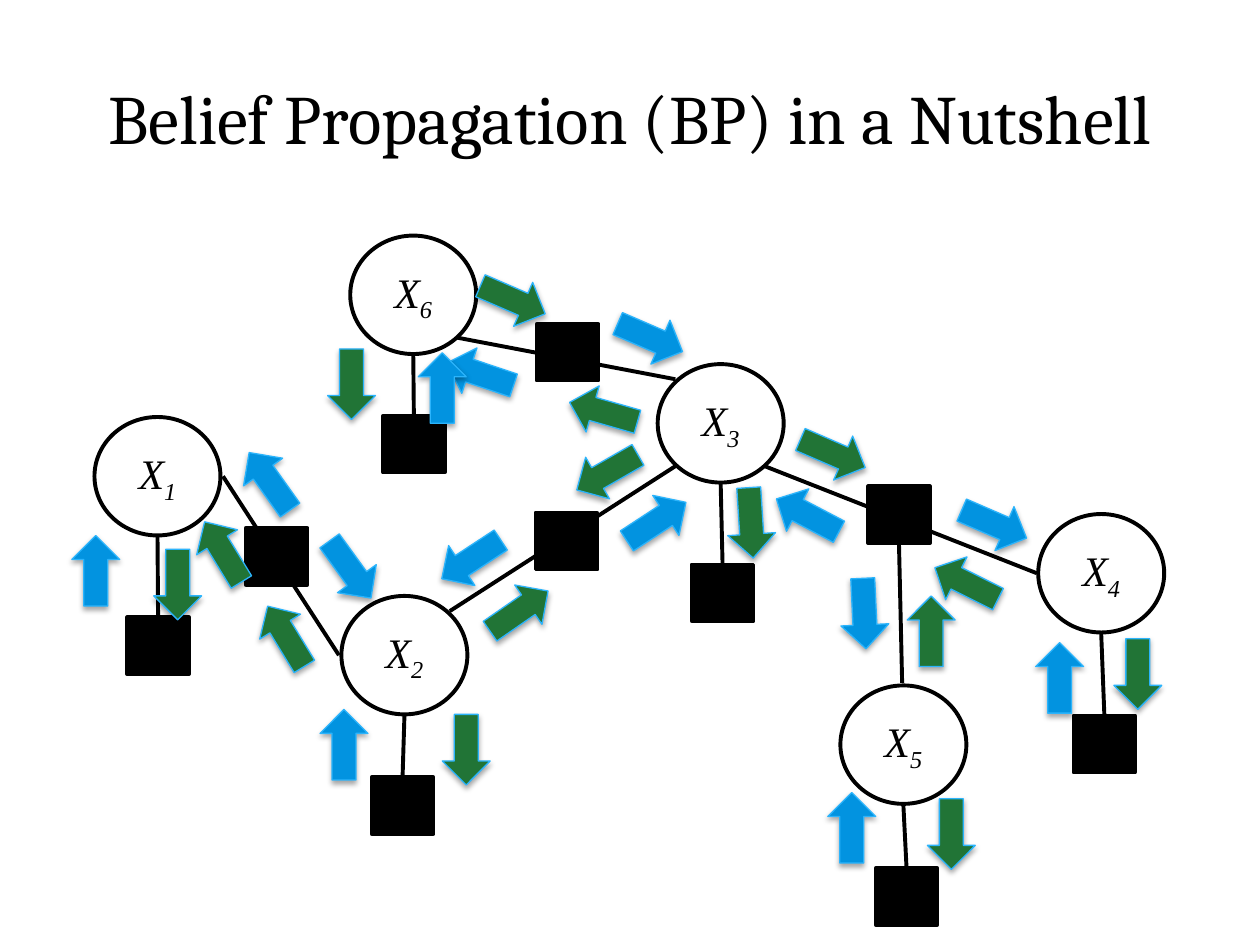
from lxml.etree import SubElement
from pptx import Presentation
from pptx.dml.color import RGBColor
from pptx.enum.shapes import MSO_CONNECTOR, MSO_SHAPE
from pptx.enum.text import MSO_ANCHOR, PP_ALIGN
from pptx.oxml.ns import qn
from pptx.util import Pt

PX = 9144  # 100 px to the inch
BLACK = RGBColor(0, 0, 0)
WHITE = RGBColor(255, 255, 255)
GREEN = RGBColor(0x21, 0x74, 0x36)
BLUE = RGBColor(0x02, 0x93, 0xE0)
EDGE = RGBColor(0x2B, 0xB4, 0xFC)

TITLE = {"size": Pt(39.6), "name": "Cambria"}
LABEL = {"size": Pt(24), "name": "Times New Roman", "italic": True}
FRAME = {"word_wrap": False, "vertical_anchor": MSO_ANCHOR.MIDDLE,
         "margin_left": 0, "margin_right": 0,
         "margin_top": 0, "margin_bottom": 0}

# Number of the variable: its circle, then its own factor square
NODES = {
    1: ((25, 181), (51, 340)),
    2: ((221, 323), (245, 467)),
    3: ((472, 139), (499, 298)),
    4: ((774, 258), (802, 418)),
    5: ((617, 394), (645, 539)),
    6: ((228, 37), (254, 180)),
}
# Squares shared by several variables; the last one joins three
SHARED = [(145, 269), (375, 257), (376, 107), (639, 236)]
LINKS = [((127, 228), (219, 370)), ((307, 335), (486, 220)),
         ((313, 118), (486, 151)), ((557, 220), (773, 305))]
FIVE_TOP = (666, 392)

# Messages: left, top, angle
SENT = {
    GREEN: [
        (329, 69, 23.4), (583, 191, 23.4), (518, 246, 86.4),
        (404, 206, 150.2), (825, 366, 90), (677, 493, 90),
        (661, 332, 270), (292, 426, 90), (63, 295, 90),
        (334, 316, 325.3), (201, 136, 90), (401, 158, 195.9),
        (689, 294, 206.5), (149, 336, 238.6), (99, 269, 238.6),
    ],
    BLUE: [
        (438, 99, 23.4), (711, 247, 23.4), (608, 318, 87.3),
        (598, 488, 270), (296, 275, 146.7), (195, 422, 270),
        (200, 283, 54.1), (136, 213, 234.6), (-2, 284, 270),
        (443, 245, 326.8), (303, 128, 198.5), (763, 369, 270),
        (563, 240, 207.7), (273, 139, 270),
    ],
}


def style(item, values):
    for key, value in values.items():
        setattr(item, key, value)


def shape(slide, kind, box, fill, line=BLACK, width=2.25):
    item = slide.shapes.add_shape(kind, *(n * PX for n in box))
    item.shadow.inherit = False
    item.fill.solid()
    item.fill.fore_color.rgb = fill
    item.line.color.rgb = line
    item.line.width = Pt(width)
    return item


def circle(slide, left, top, num):
    item = shape(slide, MSO_SHAPE.OVAL, (left, top, 100, 94), WHITE)
    style(item.text_frame, FRAME)
    para = item.text_frame.paragraphs[0]
    para.alignment = PP_ALIGN.CENTER
    for text in ("X", str(num)):
        run = para.add_run()
        run.text = text
        style(run.font, LABEL)
        run.font.color.rgb = BLACK
    run._r.get_or_add_rPr().set("baseline", "-25000")


def square(slide, left, top):
    return shape(slide, MSO_SHAPE.RECTANGLE, (left, top, 49, 45), BLACK)


def link(slide, start, end):
    item = slide.shapes.add_connector(
        MSO_CONNECTOR.STRAIGHT, *(n * PX for n in start + end))
    item.line.color.rgb = BLACK
    item.line.width = Pt(2.25)
    SubElement(item._element.spPr, qn("a:effectLst"))
    return item


def arrow(slide, left, top, angle, fill):
    item = shape(slide, MSO_SHAPE.RIGHT_ARROW, (left, top, 56, 38),
                 fill, EDGE, 0.75)
    item.rotation = angle
    effects = item._element.spPr.find(qn("a:effectLst"))
    shade = SubElement(effects, qn("a:outerShdw"), blurRad=str(Pt(3.1)),
                       dist=str(Pt(1.8)), dir="5400000", rotWithShape="0")
    color = SubElement(shade, qn("a:srgbClr"), val=str(BLACK))
    SubElement(color, qn("a:alpha"), val="35000")


def heading(slide, left, top, width, height):
    title = slide.shapes.title
    style(title, {"left": left * PX, "top": top * PX,
                  "width": width * PX, "height": height * PX})
    title.text_frame.text = "Belief Propagation (BP) in a Nutshell"
    title.text_frame.vertical_anchor = MSO_ANCHOR.MIDDLE
    para = title.text_frame.paragraphs[0]
    para.alignment = PP_ALIGN.CENTER
    style(para.runs[0].font, TITLE)
    para.runs[0].font.color.rgb = BLACK


def graph(slide, left, top):
    def at(spot):
        return left + spot[0], top + spot[1]

    # Variables, each tied to its own factor
    for num, (ring, block) in NODES.items():
        x, y = at(ring)
        circle(slide, x, y, num)
        factor = square(slide, *at(block))
        stem = link(slide, (x + 50, y + 95), at(block))
        stem.end_connect(factor, 0)

    # Links between variables, with the shared factors on them
    for start, end in LINKS:
        link(slide, at(start), at(end))
    for spot in SHARED:
        factor = square(slide, *at(spot))
    branch = link(slide, at(SHARED[-1]), at(FIVE_TOP))
    branch.begin_connect(factor, 2)

    # Messages
    for fill, rows in SENT.items():
        for x, y, angle in rows:
            arrow(slide, *at((x, y)), angle, fill)


def main():
    deck = Presentation()
    deck.slide_width, deck.slide_height = 1000 * PX, 750 * PX
    slide = deck.slides.add_slide(deck.slide_layouts[5])
    heading(slide, 50, 30, 900, 125)
    graph(slide, 50, 150)
    deck.save("out.pptx")


if __name__ == "__main__":
    main()
